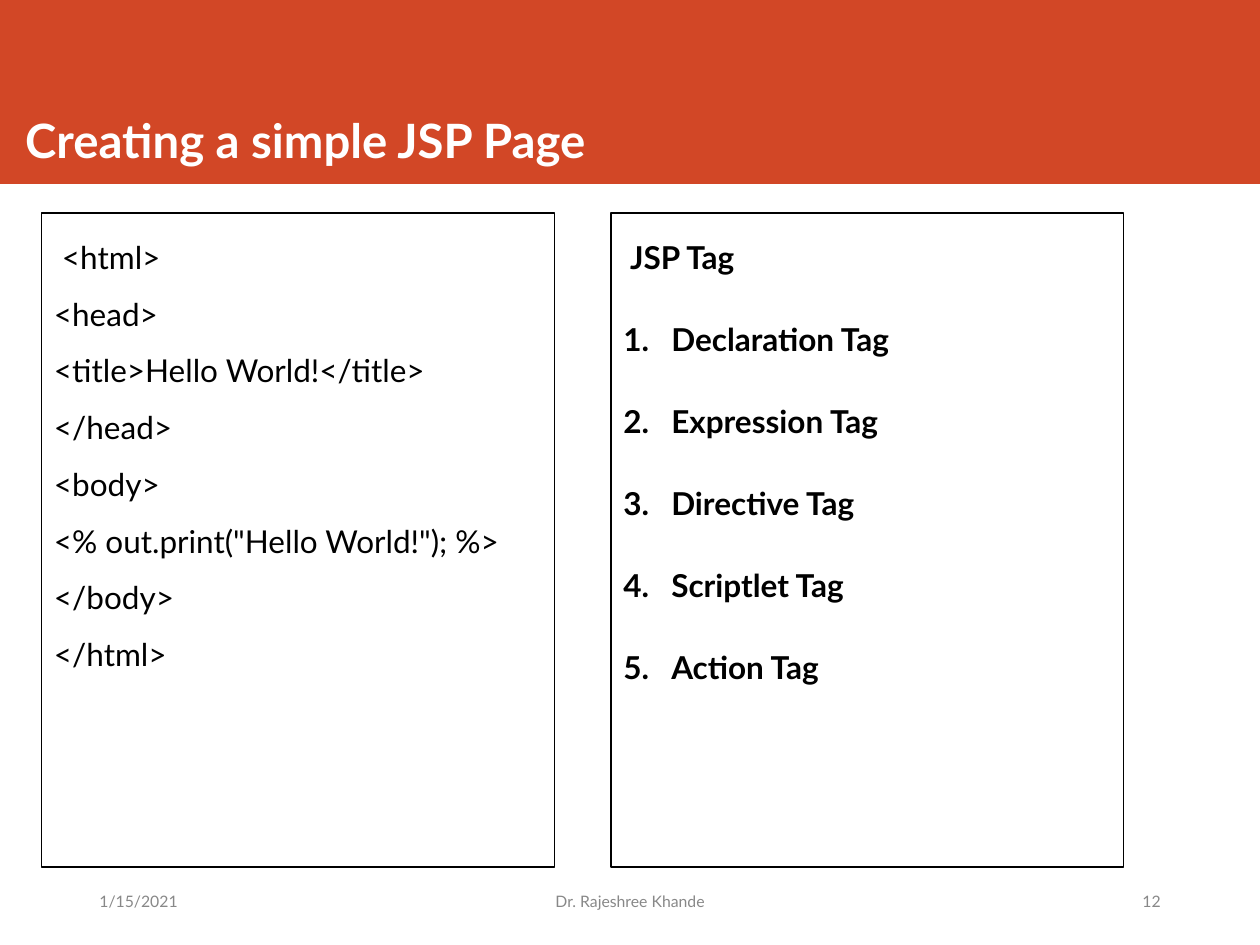
"""Build the slide that introduces a simple JSP page and the JSP tags."""
import pptx
import pptx.dml.color
import pptx.enum.shapes
import pptx.enum.text
import pptx.oxml
import pptx.oxml.ns
import pptx.util

Inches = pptx.util.Inches
Pt = pptx.util.Pt
ALIGN = pptx.enum.text.PP_ALIGN
ANCHOR = pptx.enum.text.MSO_ANCHOR

THEME = {
    "font": "Lato",
    "band": "D24726",
    "title": {"size": 27, "color": "FFFFFF", "bold": True},
    "code": {"size": 18, "color": "000000", "bold": False},
    "tag": {"size": 18, "color": "000000", "bold": True},
    "footer": {"size": 9, "color": "888888", "bold": False},
}

TITLE = "Creating a simple JSP Page"
CODE = [
    " <html>",
    "<head>",
    "<title>Hello World!</title>",
    "</head>",
    "<body>",
    '<% out.print("Hello World!"); %>',
    "</body>",
    "</html>",
]
TAG_HEADING = " JSP Tag"
TAGS = ["Declaration Tag", "Expression Tag", "Directive Tag", "Scriptlet Tag", "Action Tag"]
FOOTERS = [
    ("1/15/2021", 0.69, 2.69, ALIGN.LEFT),
    ("Dr. Rajeshree Khande", 3.81, 2.38, ALIGN.CENTER),
    ("12", 6.62, 2.69, ALIGN.RIGHT),
]

PANEL_LEFT, PANEL_TOP, PANEL_WIDTH, PANEL_HEIGHT = 0.33, 1.69, 4.07, 5.19
PANEL_PITCH = 4.52
NUMBER_INDENT = 0.38


def color(value):
    return pptx.dml.color.RGBColor.from_string(value)


def set_frame(box, anchor):
    settings = {
        "word_wrap": True,
        "auto_size": pptx.enum.text.MSO_AUTO_SIZE.NONE,
        "vertical_anchor": anchor,
        "margin_left": Inches(0.1),
        "margin_right": Inches(0.1),
        "margin_top": Inches(0.05),
        "margin_bottom": Inches(0.05),
    }
    for name, value in settings.items():
        setattr(box.text_frame, name, value)


def write(para, text, style, **layout):
    para.text = text
    for name, value in layout.items():
        setattr(para, name, value)
    look = {"name": THEME["font"], "size": Pt(style["size"]), "bold": style["bold"]}
    for span in para.runs:
        for name, value in look.items():
            setattr(span.font, name, value)
        span.font.color.rgb = color(style["color"])


def number(para):
    properties = para._p.get_or_add_pPr()
    properties.set("marL", str(Inches(NUMBER_INDENT)))
    properties.set("indent", str(-Inches(NUMBER_INDENT)))
    namespace = pptx.oxml.ns.nsdecls("a")
    properties.append(pptx.oxml.parse_xml(f'<a:buFont {namespace} typeface="{THEME["font"]}"/>'))
    properties.append(pptx.oxml.parse_xml(f'<a:buAutoNum {namespace} type="arabicPeriod"/>'))


def add_text_box(page, place, anchor):
    box = page.shapes.add_textbox(*map(Inches, place))
    set_frame(box, anchor)
    return box


def add_panel(page, column):
    left = PANEL_LEFT + column * PANEL_PITCH
    panel = add_text_box(page, (left, PANEL_TOP, PANEL_WIDTH, PANEL_HEIGHT), ANCHOR.TOP)
    panel.line.color.rgb = color("000000")
    panel.line.width = Pt(0.75)
    return panel.text_frame


def add_header(page):
    title = page.shapes.title
    band = page.shapes.add_shape(
        pptx.enum.shapes.MSO_SHAPE.RECTANGLE, 0, 0, Inches(10), Inches(1.46)
    )
    band.shadow.inherit = False
    band.fill.solid()
    band.fill.fore_color.rgb = color(THEME["band"])
    band.line.fill.background()
    title.element.addprevious(band.element)
    place = {"left": 0.1, "top": 0.06, "width": 8.82, "height": 1.32}
    for name, value in place.items():
        setattr(title, name, Inches(value))
    set_frame(title, ANCHOR.BOTTOM)
    write(title.text_frame.paragraphs[0], TITLE, THEME["title"], alignment=ALIGN.LEFT)


def main():
    deck = pptx.Presentation()
    deck.slide_width, deck.slide_height = Inches(10), Inches(7.5)
    page = deck.slides.add_slide(deck.slide_layouts.get_by_name("Title Only"))
    add_header(page)

    code = add_panel(page, 0)
    write(code.paragraphs[0], "\v".join(CODE), THEME["code"], line_spacing=1.5)

    tags = add_panel(page, 1)
    write(tags.paragraphs[0], TAG_HEADING, THEME["tag"], line_spacing=1.5)
    for tag in TAGS:
        para = tags.add_paragraph()
        write(para, tag, THEME["tag"], line_spacing=1.5, space_before=Pt(14.4))
        number(para)

    for text, left, width, alignment in FOOTERS:
        box = add_text_box(page, (left, 6.95, width, 0.4), ANCHOR.MIDDLE)
        write(box.text_frame.paragraphs[0], text, THEME["footer"], alignment=alignment)

    deck.save("out.pptx")


if __name__ == "__main__":
    main()
